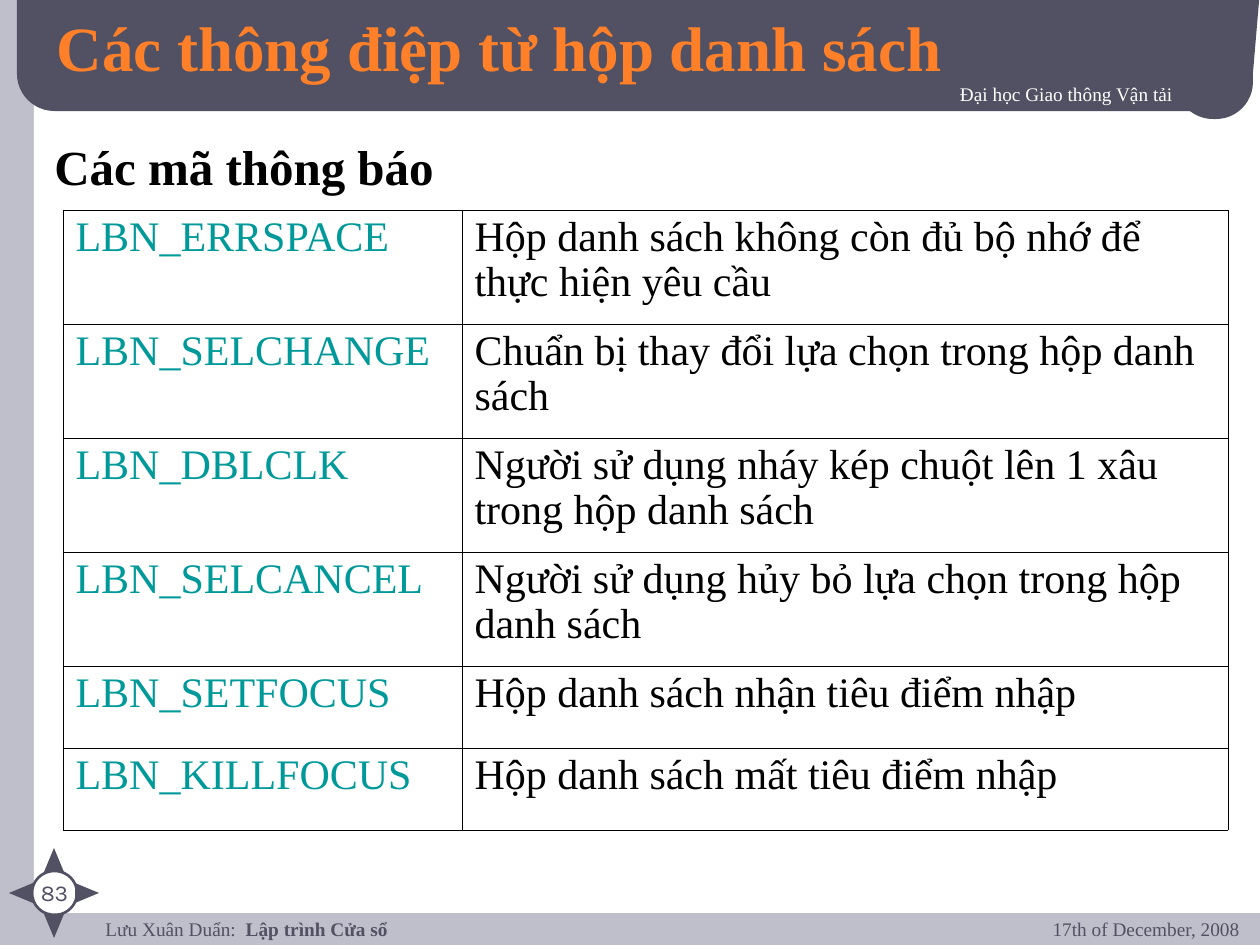
import math

from lxml import etree
from pptx import Presentation
from pptx.dml.color import RGBColor
from pptx.enum.shapes import MSO_SHAPE
from pptx.enum.text import MSO_ANCHOR, MSO_AUTO_SIZE, PP_ALIGN
from pptx.oxml import parse_xml
from pptx.util import Inches, Pt

ROUND, OVAL = MSO_SHAPE.ROUNDED_RECTANGLE, MSO_SHAPE.OVAL
POINT, WEDGE = MSO_SHAPE.ISOSCELES_TRIANGLE, MSO_SHAPE.RIGHT_TRIANGLE
LEFT, MID, RIGHT = PP_ALIGN.LEFT, PP_ALIGN.CENTER, PP_ALIGN.RIGHT
NS = "http://schemas.openxmlformats.org/drawingml/2006/main"
SCALE = Inches(1) / 126
SERIF = "Times New Roman"
COLORS = {"back": "BFBFCB", "paper": "FFFFFF", "slate": "515163",
          "title": "FF8029", "code": "009999", "ink": "000000"}

TITLE = "Các thông điệp từ hộp danh sách"
HEADING = "Các mã thông báo"
SCHOOL = "Đại học Giao thông Vận tải"
AUTHOR, COURSE = "Lưu Xuân Duẩn:  ", "Lập trình Cửa sổ"
DATE = "17th of December, 2008"
NUMBER = "83"
CODES = [
    ("LBN_ERRSPACE", "Hộp danh sách không còn đủ bộ nhớ để thực hiện yêu cầu"),
    ("LBN_SELCHANGE", "Chuẩn bị thay đổi lựa chọn trong hộp danh sách"),
    ("LBN_DBLCLK", "Người sử dụng nháy kép chuột lên 1 xâu trong hộp danh sách"),
    ("LBN_SELCANCEL", "Người sử dụng hủy bỏ lựa chọn trong hộp danh sách"),
    ("LBN_SETFOCUS", "Hộp danh sách nhận tiêu điểm nhập"),
    ("LBN_KILLFOCUS", "Hộp danh sách mất tiêu điểm nhập"),
]
COLS = [399, 766]
ROWS = [114] * 4 + [82] * 2
TABLE_AT = (63, 210)
HUB = (54, 893)  # centre of the compass around the page number
REACH = 33


def px(n):
    return round(n * SCALE)


def rgb(name):
    return RGBColor.from_string(COLORS[name])


def add_run(par, text, size, color, bold=False, font=SERIF, shade=False):
    run = par.add_run()
    run.text = text
    run.font.size, run.font.name, run.font.bold = Pt(size), font, bold
    run.font.color.rgb = rgb(color)
    if shade:
        glow = parse_xml(
            f'<a:effectLst xmlns:a="{NS}"><a:outerShdw dist="25400" dir="2700000">'
            f'<a:srgbClr val="{COLORS["ink"]}"/></a:outerShdw></a:effectLst>')
        run.font.fill._xPr.find(f"{{{NS}}}solidFill").addnext(glow)


def add_box(slide, frame, align=LEFT, top=0.05):
    """Add a text box and return its first paragraph."""
    frm = slide.shapes.add_textbox(*map(px, frame)).text_frame
    frm.word_wrap = True
    frm.margin_top = Inches(top)
    frm.margin_bottom = Inches(top)
    frm.paragraphs[0].alignment = align
    return frm.paragraphs[0]


def add_form(slide, kind, frame, fill=None, turn=0, adj=None):
    """Add a preset shape; without a fill it gets a slate outline."""
    form = slide.shapes.add_shape(kind, *map(px, frame))
    form.shadow.inherit = False
    form.rotation = turn
    if adj is not None:
        form.adjustments[0] = adj
    if fill:
        form.fill.solid()
        form.fill.fore_color.rgb = rgb(fill)
        form.line.fill.background()
    else:
        form.fill.background()
        form.line.color.rgb = rgb("slate")
        form.line.width = Pt(1.5)


def add_edges(cell):
    props = cell._tc.get_or_add_tcPr()
    for side in "LRTB":
        line = etree.SubElement(props, f"{{{NS}}}ln{side}", w=str(Pt(0.45)))
        fill = etree.SubElement(line, f"{{{NS}}}solidFill")
        etree.SubElement(fill, f"{{{NS}}}srgbClr", val=COLORS["ink"])


def add_codes(slide):
    frame = (*TABLE_AT, sum(COLS), sum(ROWS))
    grid = slide.shapes.add_table(len(ROWS), len(COLS), *map(px, frame)).table
    grid.first_row = grid.horz_banding = False
    for col, wide in zip(grid.columns, COLS):
        col.width = px(wide)
    for row, high, texts in zip(grid.rows, ROWS, CODES):
        row.height = px(high)
        for cell, text, color in zip(row.cells, texts, ("code", "ink")):
            add_edges(cell)
            cell.fill.background()
            par = cell.text_frame.paragraphs[0]
            par.line_spacing = 0.96
            add_run(par, text, 24, color)


def add_title(slide):
    head = slide.shapes.title
    head.left, head.top, head.width, head.height = map(px, (44, 10, 1053, 72))
    frm = head.text_frame
    frm.auto_size = MSO_AUTO_SIZE.NONE
    frm.vertical_anchor = MSO_ANCHOR.MIDDLE
    par = frm.paragraphs[0]
    par.alignment = LEFT
    add_run(par, TITLE, 36, "title", bold=True, shade=True)
    slide.shapes._spTree.append(head._element)  # in front of the band


def main():
    deck = Presentation()
    deck.slide_width, deck.slide_height = Inches(10), Inches(7.5)
    slide = deck.slides.add_slide(deck.slide_layouts[5])
    slide.background.fill.solid()
    slide.background.fill.fore_color.rgb = rgb("back")

    add_form(slide, ROUND, (34, -16, 1261, 929), "paper", adj=0.02)
    add_form(slide, ROUND, (17, -45, 1236, 156), "slate", adj=0.24)
    add_form(slide, ROUND, (1176, 37, 77, 82), "slate", adj=0.48)
    add_form(slide, WEDGE, (1209, 33, 94, 8), "slate", turn=90)

    par = add_box(slide, (93, 917, 975, 42), top=0)
    add_run(par, AUTHOR, 11, "slate")
    add_run(par, COURSE, 11, "slate", bold=True)

    par = add_box(slide, (18, 873, 73, 28), MID)
    add_run(par, NUMBER, 13, "slate", font="Karla")
    add_form(slide, OVAL, (32, 871, 45, 44))
    for turn in range(0, 360, 90):
        x = HUB[0] + REACH * math.sin(math.radians(turn))
        y = HUB[1] - REACH * math.cos(math.radians(turn))
        add_form(slide, POINT, (x - 10, y - 12, 20, 24), "slate", turn)

    par = add_box(slide, (382, 76, 803, 48), RIGHT)
    add_run(par, SCHOOL, 11, "paper", shade=True)
    par = add_box(slide, (948, 911, 304, 53), RIGHT)
    add_run(par, DATE, 11, "slate")

    add_title(slide)
    add_codes(slide)
    par = add_box(slide, (42, 130, 451, 72))
    add_run(par, HEADING, 28, "ink", bold=True)
    deck.save("out.pptx")


if __name__ == "__main__":
    main()
